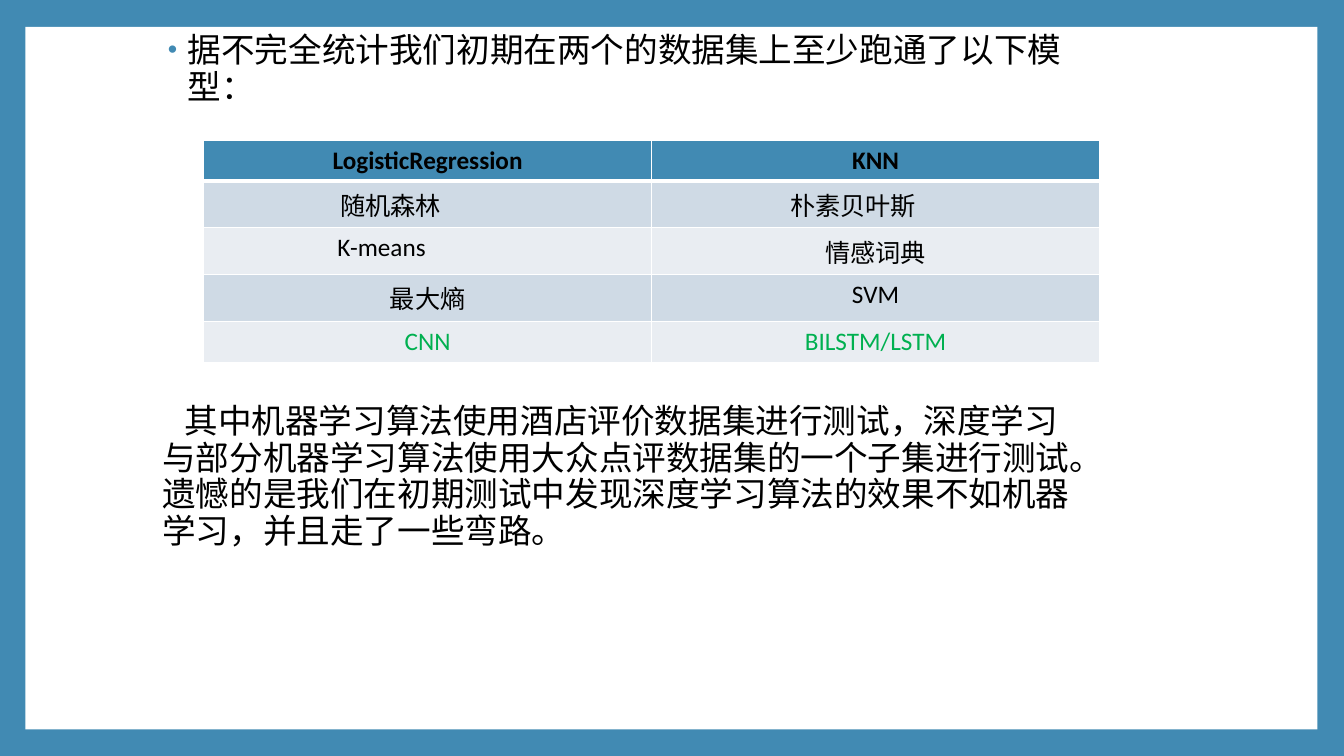
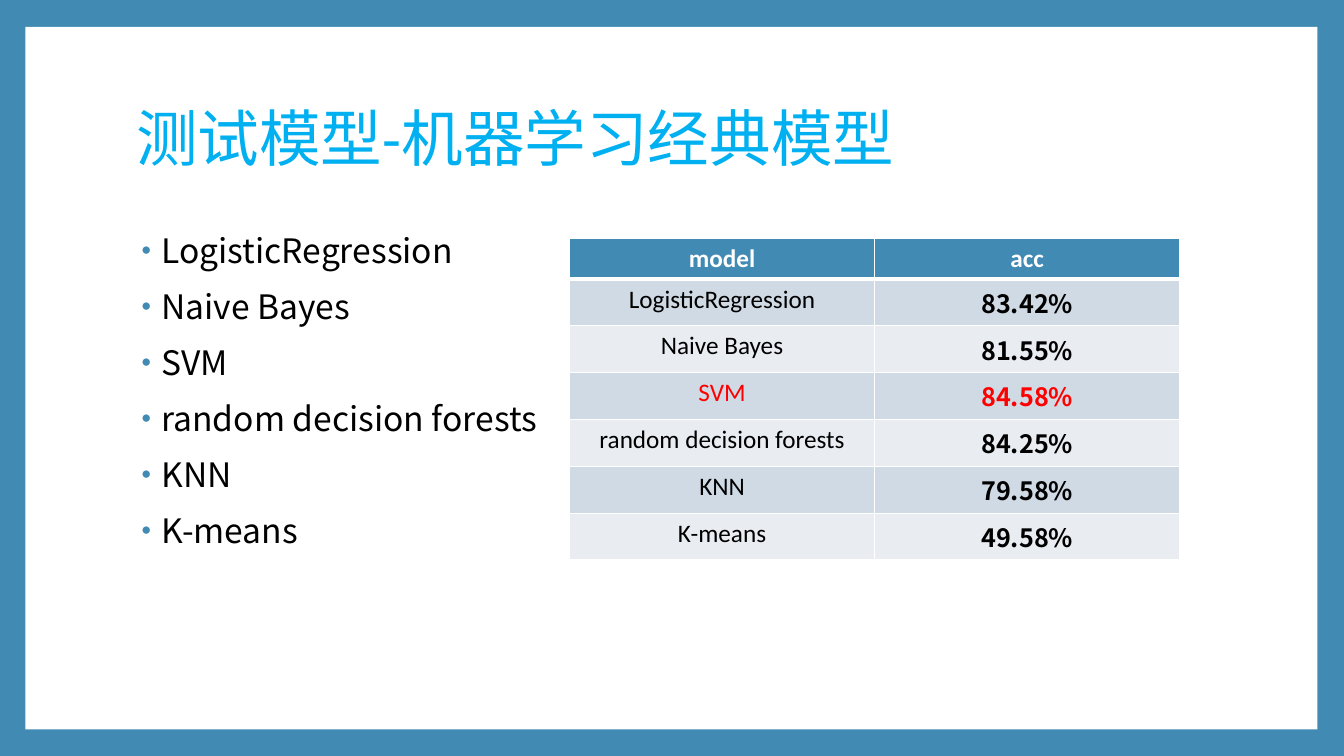
from lxml import etree
from pptx import Presentation
from pptx.dml.color import RGBColor
from pptx.enum.shapes import MSO_SHAPE
from pptx.enum.text import MSO_ANCHOR, PP_ALIGN
from pptx.oxml.ns import qn
from pptx.util import Cm, Pt

RECT = MSO_SHAPE.RECTANGLE
CENTER = PP_ALIGN.CENTER
TOP, MIDDLE = MSO_ANCHOR.TOP, MSO_ANCHOR.MIDDLE

# Shared colours and text styles
BLUE, WHITE, BLACK = "418AB3", "FFFFFF", "000000"
SKY, GREEN, RED = "00B0F0", "00B050", "FF0000"
BANDS = ("CFDAE5", "E9EDF2")
SANS, CJK = "Calibri", "Noto Sans CJK SC"
TITLE = {"name": SANS, "size": Pt(44), "color": SKY}
BODY = {"name": CJK, "size": Pt(24), "color": BLACK}
CELL = {"name": SANS, "size": Pt(18), "color": BLACK, "bold": False}
BODY_PARA = {"line_spacing": Pt(26)}


def rgb(value):
    return RGBColor.from_string(value)


def add_child(parent, tag, **attrs):
    return etree.SubElement(parent, qn(tag), attrs)


def add_run(p, text, style):
    r = p.add_run()
    r.text = text
    for key, value in style.items():
        if key == "color":
            r.font.color.rgb = rgb(value)
        else:
            setattr(r.font, key, value)
    add_child(r.font._element, "a:ea", typeface=CJK)


def add_bullet(p):
    pPr = p._p.get_or_add_pPr()
    pPr.set("marL", str(Cm(0.64)))
    pPr.set("indent", str(-Cm(0.5)))
    add_child(add_child(pPr, "a:buClr"), "a:srgbClr", val=BLUE)
    add_child(pPr, "a:buSzPct", val="80000")
    add_child(pPr, "a:buFont", typeface="Arial")
    add_child(pPr, "a:buChar", char="•")


def add_text(s, box, lines, style, para, bullets=False, indent=0, anchor=TOP):
    tf = s.shapes.add_textbox(*map(Cm, box)).text_frame
    tf.word_wrap = True
    tf.vertical_anchor = anchor
    for i, line in enumerate(lines):
        p = tf.paragraphs[0] if i == 0 else tf.add_paragraph()
        for key, value in para.items():
            setattr(p, key, value)
        if i:
            p.space_before = Pt(14)
        if bullets:
            add_bullet(p)
        if indent:
            p._p.get_or_add_pPr().set("indent", str(Cm(indent)))
        add_run(p, line, style)


def set_borders(cell, top, bottom):
    tcPr = cell._tc.get_or_add_tcPr()
    for side, width in (("L", 1), ("R", 1), ("T", top), ("B", bottom)):
        ln = add_child(tcPr, "a:ln" + side, w=str(Pt(width)))
        add_child(add_child(ln, "a:solidFill"), "a:srgbClr", val=WHITE)


def add_table(s, left, top, col_width, heights, rows, style_of, shifts=None):
    """Banded table; shifts adds right margin (cm) to the cells it names."""
    cols = len(rows[0])
    tbl = s.shapes.add_table(len(rows), cols, Cm(left), Cm(top),
                             Cm(col_width * cols), Cm(sum(heights))).table
    tbl.first_row = tbl.horz_banding = False
    for col in tbl.columns:
        col.width = Cm(col_width)
    for i, (row, height) in enumerate(zip(rows, heights)):
        tbl.rows[i].height = Cm(height)
        for j, text in enumerate(row):
            cell = tbl.cell(i, j)
            set_borders(cell, 3 if i == 1 else 1, 3 if i == 0 else 1)
            cell.fill.solid()
            cell.fill.fore_color.rgb = rgb(BANDS[(i - 1) % 2] if i else BLUE)
            cell.margin_right = Cm(0.25 + (shifts or {}).get(text, 0))
            p = cell.text_frame.paragraphs[0]
            p.alignment = CENTER
            add_run(p, text, CELL | style_of(i, j))


def new_slide(prs):
    """Blank slide with the white panel inside the blue frame."""
    s = prs.slides.add_slide(prs.slide_layouts[6])
    panel = s.shapes.add_shape(RECT, Cm(0.64), Cm(0.68), Cm(32.56), Cm(17.7))
    panel.shadow.inherit = False
    panel.fill.solid()
    panel.fill.fore_color.rgb = rgb(WHITE)
    panel.line.fill.background()
    return s


def build_overview(prs):
    s = new_slide(prs)
    add_text(s, (3.84, 0.71, 23.88, 2.2),
             ["据不完全统计我们初期在两个的数据集上至少跑通了以下模型："],
             BODY, BODY_PARA, bullets=True)
    add_text(s, (3.84, 10.06, 23.88, 4),
             ["其中机器学习算法使用酒店评价数据集进行测试，深度学习与部分机器学习算法"
              "使用大众点评数据集的一个子集进行测试。遗憾的是我们在初期测试中发现"
              "深度学习算法的效果不如机器学习，并且走了一些弯路。"],
             BODY, BODY_PARA, indent=0.56)
    rows = [("LogisticRegression", "KNN"), ("随机森林", "朴素贝叶斯"),
            ("K-means", "情感词典"), ("最大熵", "SVM"), ("CNN", "BILSTM/LSTM")]

    def style_of(i, j):
        return {"bold": i == 0, "color": GREEN if i == 4 else BLACK}

    add_table(s, 5.13, 3.53, 11.29, [1.03, 1.18, 1.18, 1.18, 1.03], rows,
              style_of, {"随机森林": 1.87, "朴素贝叶斯": 1.14, "K-means": 2.32})


def build_results(prs):
    s = new_slide(prs)
    add_text(s, (3.18, 1.7, 27.43, 3.76), ["测试模型-机器学习经典模型"],
             TITLE, {"line_spacing": 0.9}, anchor=MIDDLE)
    results = [("LogisticRegression", "83.42%"), ("Naive Bayes", "81.55%"),
               ("SVM", "84.58%"), ("random decision forests", "84.25%"),
               ("KNN", "79.58%"), ("K-means", "49.58%")]
    add_text(s, (3.18, 5.76, 27.43, 11.2), [model for model, _ in results],
             BODY, BODY_PARA, bullets=True)

    def style_of(i, j):
        if i == 0:
            return {"bold": True, "color": WHITE}
        return {"name": CJK if j else SANS, "bold": j == 1,
                "color": RED if results[i - 1][0] == "SVM" else BLACK}

    add_table(s, 14.35, 6, 7.69, [1.03] + [1.18] * len(results),
              [("model", "acc")] + results, style_of)


def main():
    prs = Presentation()
    prs.slide_width, prs.slide_height = Cm(33.87), Cm(19.05)
    fill = prs.slide_master.background.fill
    fill.solid()
    fill.fore_color.rgb = rgb(BLUE)
    build_overview(prs)
    build_results(prs)
    prs.save("out.pptx")


if __name__ == "__main__":
    main()
